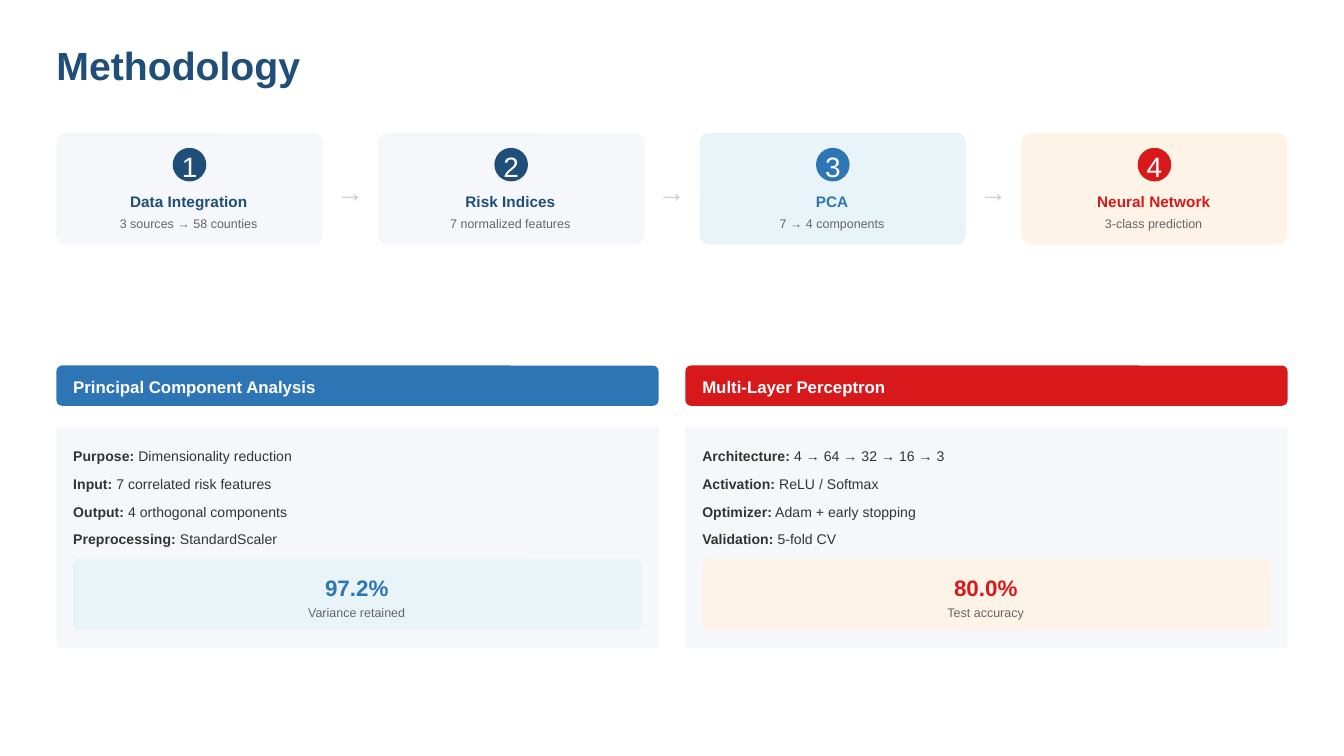
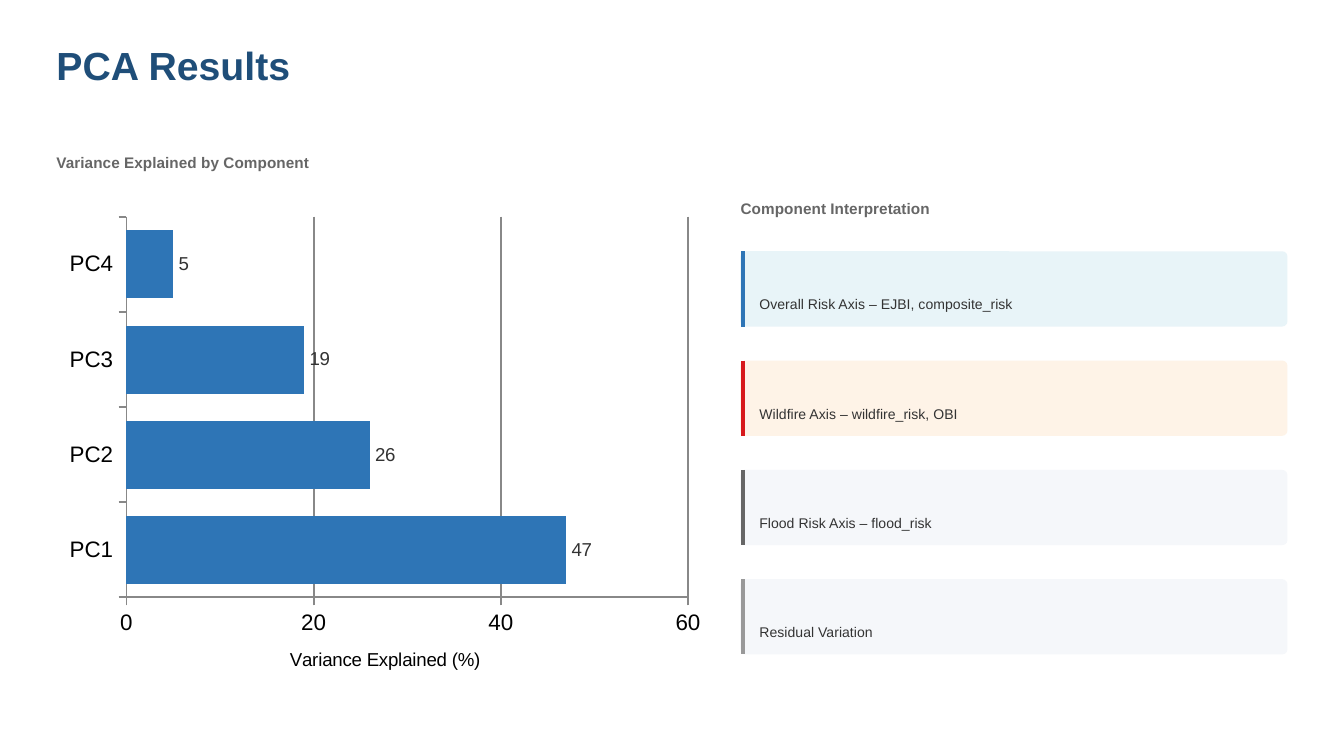
from pptx import Presentation
from pptx.chart.data import CategoryChartData
from pptx.dml.color import RGBColor
from pptx.enum.chart import XL_CHART_TYPE as ChartType, XL_LABEL_POSITION as LabelPosition
from pptx.enum.chart import XL_TICK_LABEL_POSITION as TickLabels, XL_TICK_MARK as TickMark
from pptx.enum.shapes import MSO_CONNECTOR as Connector, MSO_SHAPE as Shape
from pptx.enum.text import MSO_ANCHOR as Anchor, MSO_AUTO_SIZE as AutoSize, PP_ALIGN as Align
from pptx.oxml.ns import qn
from pptx.util import Inches, Pt

NAVY = RGBColor(0x1F, 0x4E, 0x79)
BLUE = RGBColor(0x2E, 0x75, 0xB6)
RED = RGBColor(0xD7, 0x19, 0x1C)
PALE_GRAY = RGBColor(0xF5, 0xF7, 0xFA)
PALE_BLUE = RGBColor(0xE8, 0xF4, 0xF8)
PALE_ORANGE = RGBColor(0xFE, 0xF3, 0xE7)
DARK = RGBColor(0x33, 0x33, 0x33)
GRAY = RGBColor(0x66, 0x66, 0x66)
MID_GRAY = RGBColor(0x99, 0x99, 0x99)
AXIS_GRAY = RGBColor(0x88, 0x88, 0x88)
ARROW_GRAY = RGBColor(0xCC, 0xCC, 0xCC)
WHITE = RGBColor(0xFF, 0xFF, 0xFF)
BLACK = RGBColor(0, 0, 0)
FONT = "Arial"
HEADING_SIZE, CAPTION_SIZE = 8.25, 6.75
SLIDE_WIDTH = 10
SLIDE_HEIGHT = SLIDE_WIDTH * 9 / 16
LEFT, RIGHT = 0.42, 9.58

STEPS = [
    ("Data Integration", "3 sources → 58 counties", NAVY, PALE_GRAY),
    ("Risk Indices", "7 normalized features", NAVY, PALE_GRAY),
    ("PCA", "7 → 4 components", BLUE, PALE_BLUE),
    ("Neural Network", "3-class prediction", RED, PALE_ORANGE),
]
PCA_FACTS = [
    ("Purpose:", " Dimensionality reduction"),
    ("Input:", " 7 correlated risk features"),
    ("Output:", " 4 orthogonal components"),
    ("Preprocessing:", " StandardScaler"),
]
PERCEPTRON_FACTS = [
    ("Architecture:", " 4 → 64 → 32 → 16 → 3"),
    ("Activation:", " ReLU / Softmax"),
    ("Optimizer:", " Adam + early stopping"),
    ("Validation:", " 5-fold CV"),
]
COMPONENTS = [
    ("Overall Risk Axis – EJBI, composite_risk", BLUE, PALE_BLUE),
    ("Wildfire Axis – wildfire_risk, OBI", RED, PALE_ORANGE),
    ("Flood Risk Axis – flood_risk", GRAY, PALE_GRAY),
    ("Residual Variation", MID_GRAY, PALE_GRAY),
]
VARIANCE = {"PC1": 47, "PC2": 26, "PC3": 19, "PC4": 5}


def style_font(font, size, color, bold=False):
    """Set the shared typeface with a size, colour and weight."""
    font.name, font.size, font.bold = FONT, Pt(size), bold
    font.color.rgb = color


def write(shape, text, size, color, bold=False, align=Align.LEFT):
    """Fill a shape's text frame with one paragraph and return it."""
    frame = shape.text_frame
    frame.margin_left = frame.margin_top = frame.margin_right = frame.margin_bottom = 0
    frame.word_wrap, frame.auto_size = True, AutoSize.NONE
    frame.vertical_anchor = Anchor.TOP
    paragraph = frame.paragraphs[0]
    paragraph.text, paragraph.alignment = text, align
    paragraph.line_spacing = Pt(size * 1.4)
    style_font(paragraph.font, size, color, bold)
    return paragraph


def add_text(slide, left, top, width, height, text, size, color, bold=False, align=Align.LEFT):
    """Add a text box without margins and return its paragraph."""
    box = slide.shapes.add_textbox(Inches(left), Inches(top), Inches(width), Inches(height))
    return write(box, text, size, color, bold, align)


def add_panel(slide, left, top, width, height, color, rounding=0.0):
    """Add a flat filled rectangle, rounded when asked."""
    kind = Shape.ROUNDED_RECTANGLE if rounding else Shape.RECTANGLE
    shape = slide.shapes.add_shape(kind, Inches(left), Inches(top), Inches(width), Inches(height))
    if rounding:
        shape.adjustments[0] = rounding
    shape.shadow.inherit = False
    shape.fill.solid()
    shape.fill.fore_color.rgb = color
    shape.line.fill.background()


def add_titled_slide(presentation, title, width):
    """Add a title-only slide with its title at the top left."""
    slide = presentation.slides.add_slide(presentation.slide_layouts[5])
    shape = slide.shapes.title
    shape.left, shape.top = Inches(LEFT), Inches(0.25)
    shape.width, shape.height = Inches(width), Inches(0.41)
    write(shape, title, 21, NAVY, True)
    return slide


def add_step(slide, left, top, width, number, step):
    """Draw one numbered card of the workflow."""
    name, detail, accent, tint = step
    middle = left + width / 2
    inner, inner_width = left + 0.08, width - 0.17
    add_panel(slide, left, top, width, 0.83, tint, 0.08)
    add_panel(slide, middle - 0.125, top + 0.11, 0.25, 0.25, accent, 0.5)
    add_text(slide, middle - 0.06, top + 0.08, 0.12, 0.29, str(number), 15, WHITE, align=Align.CENTER)
    add_text(slide, inner, top + 0.42, inner_width, 0.16, name, HEADING_SIZE, accent, True, Align.CENTER)
    add_text(slide, inner, top + 0.6, inner_width, 0.13, detail, CAPTION_SIZE, GRAY, align=Align.CENTER)


def add_workflow(slide, left, top, width):
    """Draw the row of steps with an arrow in each gap."""
    card = 1.98
    pitch = (width - card) / (len(STEPS) - 1)
    for index, step in enumerate(STEPS):
        x = left + index * pitch
        add_step(slide, x, top, card, index + 1, step)
        if index < len(STEPS) - 1:
            add_text(slide, x + card + 0.1, top + 0.27, 0.21, 0.29, "→", 15, ARROW_GRAY)


def add_method(slide, left, top, heading, facts, value, caption, accent, tint):
    """Draw a method's header, its facts and its headline figure."""
    width = 4.48
    inner = left + 0.125
    add_panel(slide, left, top, width, 0.3, accent, 0.14)
    add_text(slide, inner, top + 0.06, 4.31, 0.17, heading, 9, WHITE, True)
    add_panel(slide, left, top + 0.46, width, 1.64, PALE_GRAY)
    for index, (label, fact) in enumerate(facts):
        y = top + 0.59 + index * 0.62 / 3
        paragraph = add_text(slide, inner, y, 4.31, 0.15, "", 7.5, DARK)
        for text, bold in ((label, True), (fact, False)):
            run = paragraph.add_run()
            run.text, run.font.bold = text, bold
    add_panel(slide, inner, top + 1.44, 4.23, 0.53, tint, 0.08)
    add_text(slide, inner + 0.04, top + 1.52, 4.14, 0.23, value, 12, accent, True, Align.CENTER)
    add_text(slide, inner + 0.04, top + 1.76, 4.14, 0.13, caption, CAPTION_SIZE, GRAY, align=Align.CENTER)


def add_interpretation(slide, left, top, width):
    """Draw the heading and the cards that explain each component."""
    add_text(slide, left, top, 4.15, 0.16, "Component Interpretation", HEADING_SIZE, GRAY, True)
    for index, (text, accent, tint) in enumerate(COMPONENTS):
        y = top + 0.41 + index * 2.44 / 3
        add_panel(slide, left, y, width, 0.56, tint, 0.07)
        x = Inches(left + 0.02)
        bar = slide.shapes.add_connector(Connector.STRAIGHT, x, Inches(y), x, Inches(y + 0.56))
        bar.line.color.rgb, bar.line.width = accent, Pt(2.25)
        properties = bar.element.spPr
        properties.append(properties.makeelement(qn("a:effectLst"), {}))
        add_text(slide, left + 0.14, y + 0.31, width - 0.16, 0.15, text, 7.5, DARK)


def style_line(line):
    """Give an axis or gridline its thin gray stroke."""
    line.color.rgb, line.width = AXIS_GRAY, Pt(1)


def add_variance_chart(slide, left, top, width, height):
    """Draw the bar chart of variance explained with its heading."""
    add_text(slide, left, top, 4.98, 0.16, "Variance Explained by Component", HEADING_SIZE, GRAY, True)
    data = CategoryChartData()
    data.categories = list(VARIANCE)
    data.add_series("Series 1", list(VARIANCE.values()))
    chart = slide.shapes.add_chart(ChartType.BAR_CLUSTERED, Inches(left), Inches(top + 0.42),
                                   Inches(width), Inches(height - 0.42), data).chart
    chart.has_legend = chart.has_title = False
    style_font(chart.font, 10, BLACK)
    chart.font.name = "Calibri"
    for axis in (chart.category_axis, chart.value_axis):
        style_font(axis.tick_labels.font, 12, BLACK)
        style_line(axis.format.line)
        axis.major_tick_mark, axis.minor_tick_mark = TickMark.OUTSIDE, TickMark.NONE
    axis = chart.value_axis
    axis.minimum_scale, axis.maximum_scale, axis.major_unit = 0, 60, 20
    axis.tick_label_position = TickLabels.LOW
    axis.has_major_gridlines = True
    style_line(axis.major_gridlines.format.line)
    paragraph = axis.axis_title.text_frame.paragraphs[0]
    paragraph.text = "Variance Explained (%)"
    style_font(paragraph.font, 10, BLACK)
    plot = chart.plots[0]
    plot.gap_width, plot.vary_by_categories = 40, False
    series = plot.series[0]
    series.format.fill.solid()
    series.format.fill.fore_color.rgb = BLUE
    labels = series.data_labels
    labels.show_value, labels.position = True, LabelPosition.OUTSIDE_END
    labels.number_format, labels.number_format_is_linked = "#,##0", False
    style_font(labels.font, 10, DARK)


def build_methodology(presentation):
    """Build the slide with the workflow and the two methods."""
    slide = add_titled_slide(presentation, "Methodology", 9.35)
    add_workflow(slide, LEFT, 0.99, RIGHT - LEFT)
    add_method(slide, LEFT, 2.72, "Principal Component Analysis", PCA_FACTS,
               "97.2%", "Variance retained", BLUE, PALE_BLUE)
    add_method(slide, 5.1, 2.72, "Multi-Layer Perceptron", PERCEPTRON_FACTS,
               "80.0%", "Test accuracy", RED, PALE_ORANGE)


def build_results(presentation):
    """Build the slide with the variance chart and its reading."""
    slide = add_titled_slide(presentation, "PCA Results", 1.77)
    add_variance_chart(slide, LEFT, 1.12, 4.89, 4.08)
    add_interpretation(slide, 5.51, 1.46, RIGHT - 5.51)


def main():
    """Build and save the presentation."""
    presentation = Presentation()
    presentation.slide_width = Inches(SLIDE_WIDTH)
    presentation.slide_height = Inches(SLIDE_HEIGHT)
    build_methodology(presentation)
    build_results(presentation)
    presentation.save("out.pptx")


if __name__ == "__main__":
    main()
